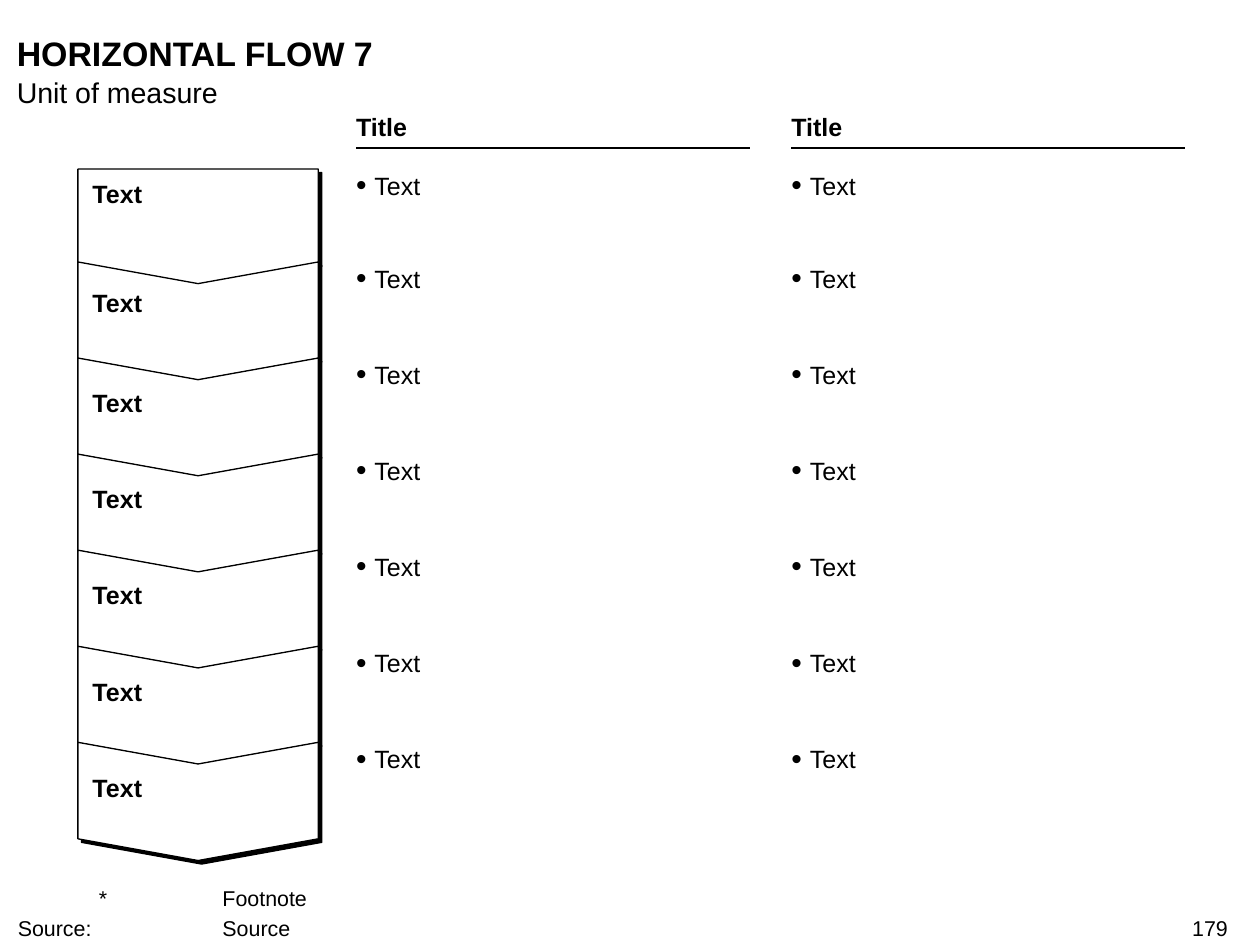
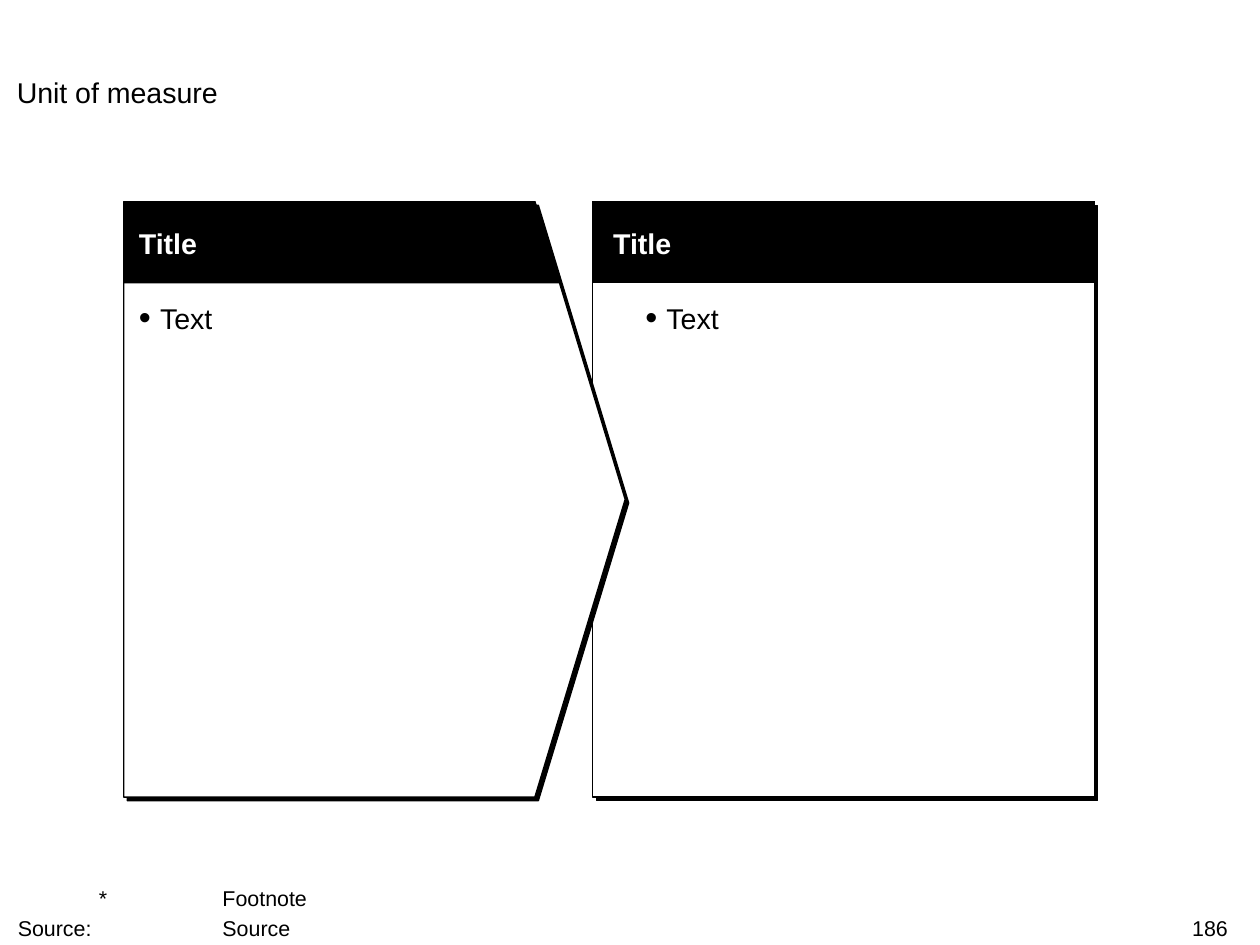
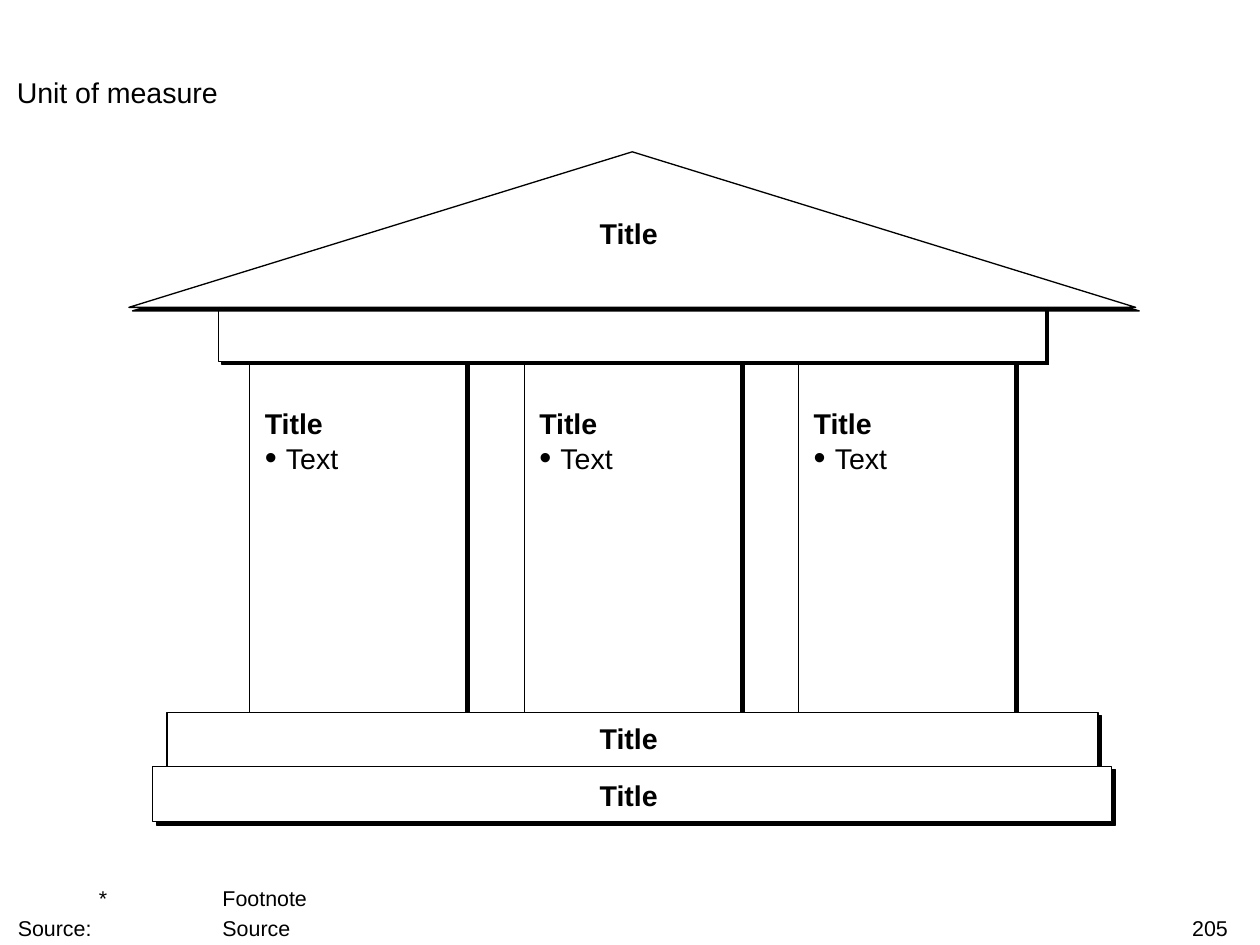
"""Build three consulting template pages: a vertical flow, a two-panel step and a temple."""

from dataclasses import dataclass
from typing import NamedTuple

from lxml.etree import SubElement
from pptx import Presentation
from pptx.dml.color import RGBColor
from pptx.enum.shapes import MSO_CONNECTOR, MSO_SHAPE
from pptx.enum.text import MSO_ANCHOR, PP_ALIGN
from pptx.oxml.ns import qn
from pptx.shapes.autoshape import Shape
from pptx.slide import Slide
from pptx.util import Pt

BLACK = RGBColor(0x00, 0x00, 0x00)
WHITE = RGBColor(0xFF, 0xFF, 0xFF)
FONT = "Arial"
LINE_WIDTH = 0.75
FOOTER_TABS = (45.4, 114.6)


class Area(NamedTuple):
    left: float
    top: float
    width: float
    height: float

    def lengths(self) -> list[Pt]:
        return [Pt(value) for value in self]


class Stage(NamedTuple):
    top: float
    height: float
    label_top: float
    preset: MSO_SHAPE


@dataclass(frozen=True)
class Line:
    text: str
    size: float = 16
    bold: bool = False
    color: RGBColor = BLACK
    align: PP_ALIGN = PP_ALIGN.LEFT
    bullet: bool = False
    space_before: float = 0
    tabs: tuple[float, ...] = ()


def add_text(page: Slide, area: Area, *lines: Line, anchor: MSO_ANCHOR = MSO_ANCHOR.TOP) -> None:
    box = page.shapes.add_textbox(*area.lengths())
    frame = box.text_frame
    frame.word_wrap = True
    frame.vertical_anchor = anchor
    frame.margin_left = frame.margin_right = frame.margin_top = frame.margin_bottom = 0
    for index, line in enumerate(lines):
        para = frame.add_paragraph() if index else frame.paragraphs[0]
        para.text = line.text
        para.alignment = line.align
        if line.space_before:
            para.space_before = Pt(line.space_before)
        properties = para._p.get_or_add_pPr()
        if line.bullet:
            indent = Pt(0.74 * line.size)
            properties.set("marL", str(indent))
            properties.set("indent", str(-indent))
            SubElement(properties, qn("a:buSzPct"), val="120000")
            SubElement(properties, qn("a:buFont"), typeface=FONT)
            SubElement(properties, qn("a:buChar"), char="•")
        if line.tabs:
            stops = SubElement(properties, qn("a:tabLst"))
            for position in line.tabs:
                SubElement(stops, qn("a:tab"), pos=str(Pt(position)), algn="l")
        para.font.name = FONT
        para.font.size = Pt(line.size)
        para.font.bold = line.bold
        para.font.color.rgb = line.color


def paint(shape: Shape, fill: RGBColor) -> None:
    shape.shadow.inherit = False
    shape.fill.solid()
    shape.fill.fore_color.rgb = fill
    shape.line.color.rgb = BLACK
    shape.line.width = Pt(LINE_WIDTH)


def add_block(page: Slide, preset: MSO_SHAPE, area: Area, point: float | None = None) -> Shape:
    shape = page.shapes.add_shape(preset, *area.lengths())
    paint(shape, WHITE)
    if point is not None:
        shape.adjustments[0] = point
    effects = shape.element.spPr.find(qn("a:effectLst"))
    shadow = SubElement(effects, qn("a:outerShdw"), blurRad="0", dist=str(Pt(2.83)),
                        dir="2700000", algn="ctr", rotWithShape="0")
    SubElement(shadow, qn("a:srgbClr"), val=str(BLACK))
    return shape


def add_rule(page: Slide, left: float, right: float, top: float) -> None:
    rule = page.shapes.add_connector(MSO_CONNECTOR.STRAIGHT, Pt(left), Pt(top), Pt(right), Pt(top))
    rule.line.color.rgb = BLACK
    rule.line.width = Pt(LINE_WIDTH)
    SubElement(rule.element.spPr, qn("a:effectLst"))


def add_page(deck: Presentation, number: int) -> Slide:
    page = deck.slides.add_slide(deck.slide_layouts[6])
    add_text(page, Area(540.7, 512.6, 146.9, 14.4), Line(str(number), 12, align=PP_ALIGN.RIGHT))
    add_text(page, Area(9.4, 41.8, 679, 19.4), Line("Unit of measure"))
    add_text(page, Area(10, 495.4, 643, 31.7),
             Line("\t*\tFootnote", 12, tabs=FOOTER_TABS),
             Line("Source:\t\tSource", 12, space_before=2.4, tabs=FOOTER_TABS),
             anchor=MSO_ANCHOR.BOTTOM)
    return page


def draw_flow(deck: Presentation) -> None:
    page = add_page(deck, 179)
    add_text(page, Area(9.4, 18, 679, 23), Line("HORIZONTAL FLOW 7", 19, bold=True))
    columns, column_width = (199.4, 443.2), 220.6
    for left in columns:
        add_rule(page, left, left + column_width, 82.8)
        add_text(page, Area(left, 62.6, column_width, 16.6), Line("Title", 14, bold=True))

    pitch, breadth, center = 53.8, 134.6, 110.9
    stages = [Stage(94.7, 64.8, 100.1, MSO_SHAPE.PENTAGON),
              Stage(146.7, 66.2, 161.3, MSO_SHAPE.CHEVRON)]
    stages += [Stage(146.7 + pitch * step, 66.2, 163.4 + pitch * step, MSO_SHAPE.CHEVRON)
               for step in range(1, 6)]
    for stage in stages:
        turned = Area(center - stage.height / 2, stage.top + (stage.height - breadth) / 2,
                      stage.height, breadth)
        block = add_block(page, stage.preset, turned, 12.15 / stage.height)
        block.rotation = 90
    for stage in stages:
        add_text(page, Area(51.8, stage.label_top, 118.8, 16.6), Line("Text", 14, bold=True))
        for left in columns:
            add_text(page, Area(left, stage.top + 0.8, column_width, 16.6),
                     Line("Text", 14, bullet=True))


def draw_panels(deck: Presentation) -> None:
    page = add_page(deck, 186)
    top, width, height, band = 113, 280.8, 333.4, 45.4
    step_left, result_left = 69.3, 332
    add_block(page, MSO_SHAPE.RECTANGLE, Area(result_left, top, width, height))
    add_block(page, MSO_SHAPE.PENTAGON, Area(step_left, top, width, height), 0.18)

    shoulder = step_left + width * (1 - 0.18)
    slope = width * 0.18 / (height / 2)
    outline = page.shapes.build_freeform(Pt(step_left), Pt(top))
    outline.add_line_segments([(Pt(step_left), Pt(top + band)),
                               (Pt(shoulder + slope * band), Pt(top + band)),
                               (Pt(shoulder), Pt(top))])
    paint(outline.convert_to_shape(), BLACK)
    header = page.shapes.add_shape(MSO_SHAPE.RECTANGLE,
                                   *Area(result_left, top, width, band).lengths())
    paint(header, BLACK)

    for title_left, text_left in ((77.8, 77.8), (343.4, 361.4)):
        add_text(page, Area(title_left, 126.7, 222.5, 19.4), Line("Title", bold=True, color=WHITE))
        add_text(page, Area(text_left, 168.5, 230, 19.4), Line("Text", bullet=True))


def draw_temple(deck: Presentation) -> None:
    page = add_page(deck, 205)
    for column in range(3):
        left = 139.9 + 153.7 * column
        add_block(page, MSO_SHAPE.RECTANGLE, Area(left, 200.2, 121, 200.9))
        add_text(page, Area(left + 8.4, 227.5, 104.4, 38.2),
                 Line("Title", bold=True), Line("Text", bullet=True))
    add_block(page, MSO_SHAPE.RECTANGLE, Area(122.4, 165.6, 463, 36.7))
    add_block(page, MSO_SHAPE.ISOSCELES_TRIANGLE, Area(72.2, 85, 563.8, 87.1))
    add_block(page, MSO_SHAPE.RECTANGLE, Area(93.6, 398.9, 521.3, 31))
    add_block(page, MSO_SHAPE.RECTANGLE, Area(85.5, 429.1, 537.1, 31))
    for top in (121, 404, 435.6):
        add_text(page, Area(211.7, top, 280.8, 19.4),
                 Line("Title", bold=True, align=PP_ALIGN.CENTER))


def main() -> None:
    deck = Presentation()
    deck.slide_width, deck.slide_height = Pt(705.6), Pt(529.2)
    draw_flow(deck)
    draw_panels(deck)
    draw_temple(deck)
    deck.save("out.pptx")


if __name__ == "__main__":
    main()
